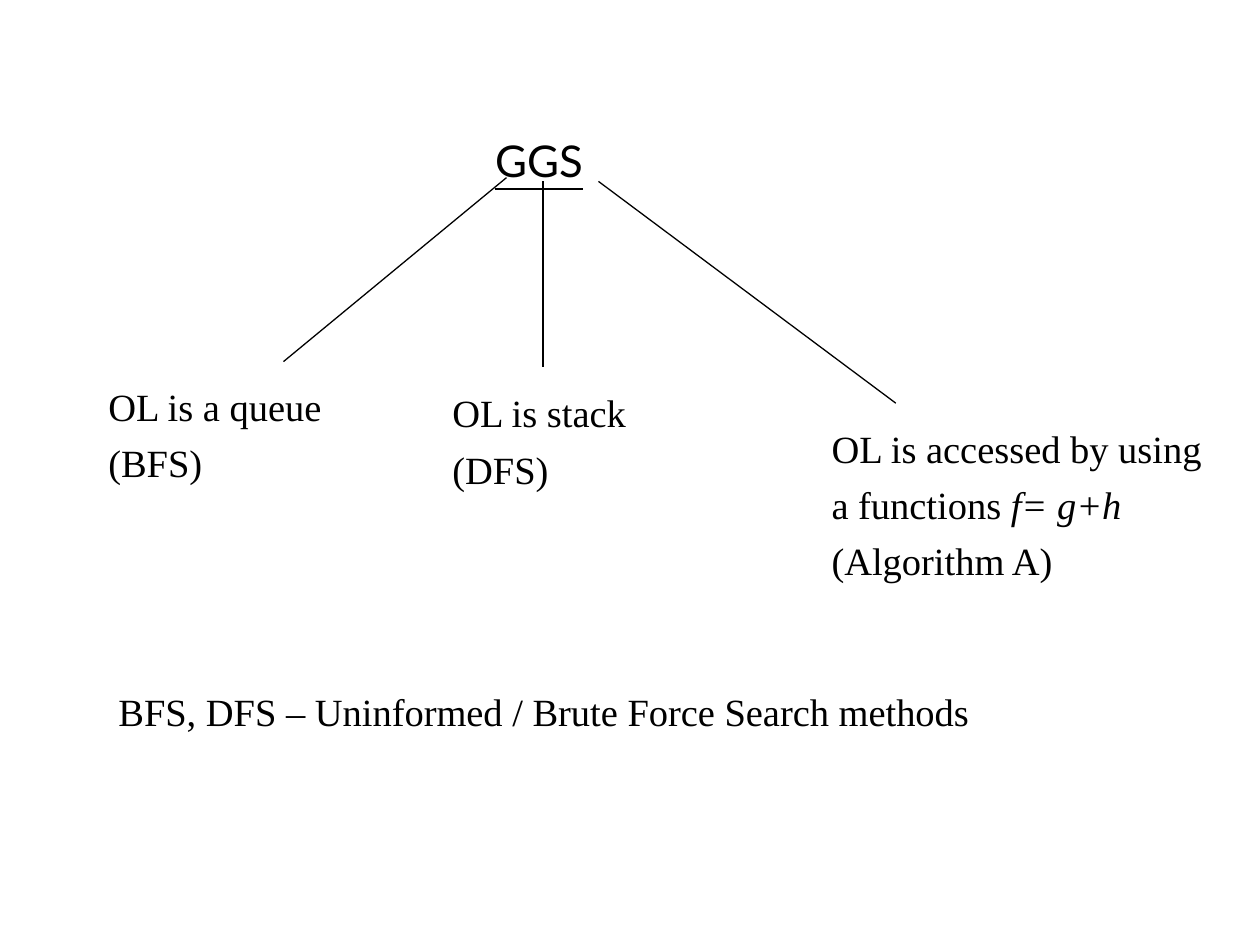
from pptx import Presentation
from pptx import util as u
from pptx.dml.color import RGBColor
from pptx.enum import shapes, text
from pptx.oxml.ns import qn
from lxml import etree


class SearchSlide:
    """Holds the style and the current slide and draws its text and branches."""

    colors = {"ink": "000000", "paper": "FFFFFF"}
    heading_style = {"font": "Lato", "size": 25, "spacing": 1.17, "underline": True}
    body_style = {"font": "Times New Roman", "size": 22, "spacing": 1.22, "underline": None}

    def __init__(self, presentation):
        self.slide = presentation.slides.add_slide(presentation.slide_layouts[6])
        fill = self.slide.background.fill
        fill.solid()
        fill.fore_color.rgb = self.color("paper")

    def color(self, name):
        return RGBColor.from_string(self.colors[name])

    def add_text(self, left, top, width, height, paragraphs, style=None):
        style = style or self.body_style
        box = self.slide.shapes.add_textbox(*map(u.Inches, (left, top, width, height)))
        frame = box.text_frame
        frame.word_wrap = True
        frame.auto_size = text.MSO_AUTO_SIZE.NONE
        frame.vertical_anchor = text.MSO_ANCHOR.TOP
        frame.margin_left = frame.margin_right = u.Inches(0.09)
        frame.margin_top, frame.margin_bottom = u.Inches(0.06), u.Inches(0.04)
        for index, runs in enumerate(paragraphs):
            paragraph = frame.add_paragraph() if index else frame.paragraphs[0]
            paragraph.line_spacing = style["spacing"]
            for words, italic in runs:
                run = paragraph.add_run()
                run.text = words
                run.font.name = style["font"]
                run.font.size = u.Pt(style["size"])
                run.font.underline = style["underline"]
                run.font.italic = italic
                run.font.color.rgb = self.color("ink")

    def add_branch(self, start, end):
        branch = self.slide.shapes.add_connector(
            shapes.MSO_CONNECTOR.STRAIGHT, *map(u.Inches, (*start, *end)))
        branch.line.color.rgb = self.color("ink")
        branch.line.width = u.Pt(0.75)
        etree.SubElement(branch._element.spPr, qn("a:effectLst"))


def main():
    presentation = Presentation()
    presentation.slide_width, presentation.slide_height = u.Inches(10), u.Inches(7.5)
    slide = SearchSlide(presentation)

    slide.add_text(3.84, 0.93, 1.42, 0.58, [[("GGS", False)]], slide.heading_style)
    for start, end in [((4.02, 1.41), (2.25, 2.87)),
                       ((4.31, 1.44), (4.31, 2.91)),
                       ((4.75, 1.44), (7.11, 3.2))]:
        slide.add_branch(start, end)

    slide.add_text(0.77, 2.9, 2.4, 0.95, [[("OL is a queue", False)], [("(BFS)", False)]])
    slide.add_text(3.5, 2.95, 1.92, 0.95, [[("OL is stack", False)], [("(DFS)", False)]])
    slide.add_text(6.51, 3.23, 3.14, 1.38, [
        [("OL is accessed by using a functions ", False), ("f= g+h", True)],
        [("(Algorithm A)", False)]])
    slide.add_text(0.85, 5.32, 7.03, 0.52, [
        [("BFS, DFS – Uninformed / Brute Force Search methods", False)]])

    presentation.save("out.pptx")


if __name__ == "__main__":
    main()
